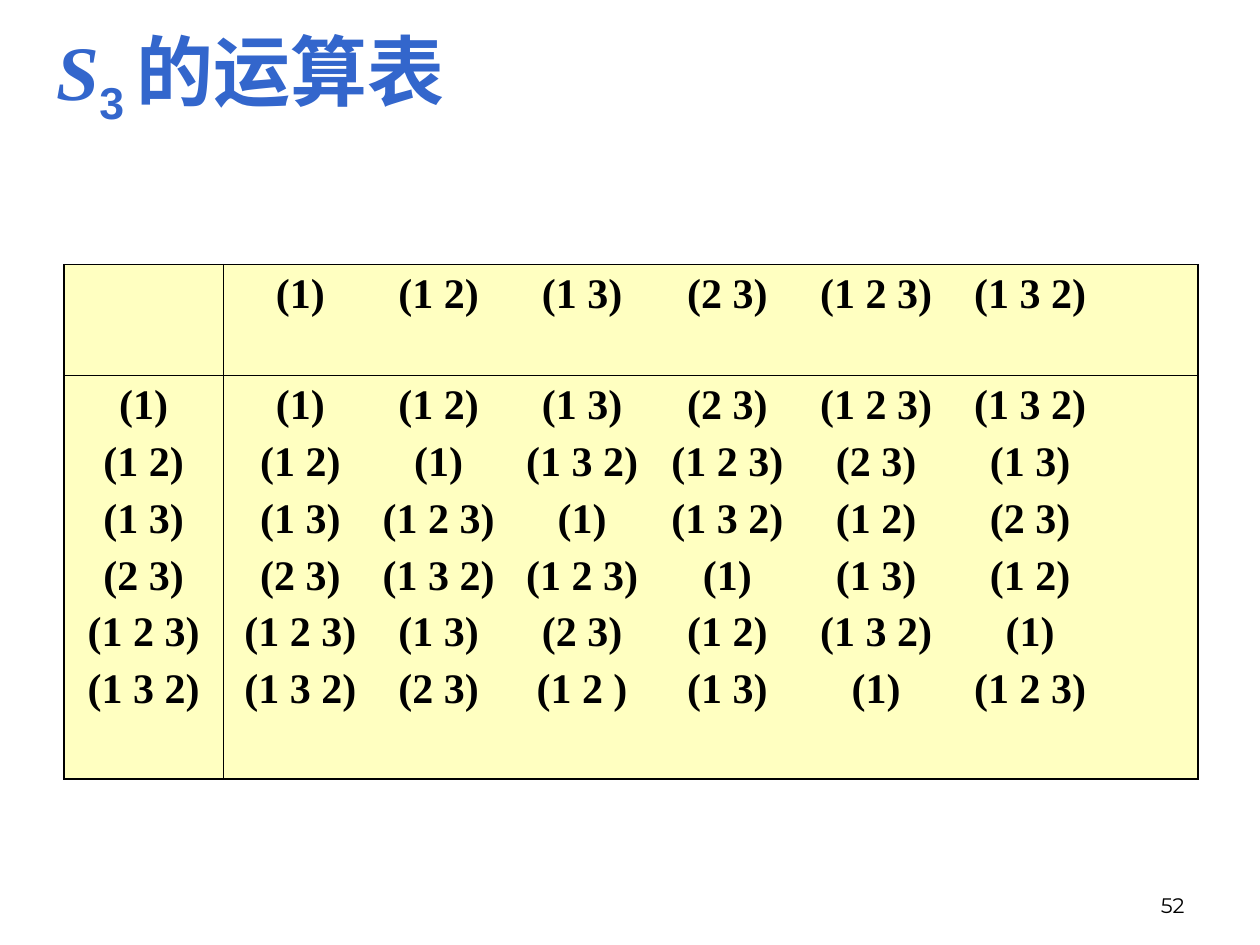
import pptx
import pptx.dml.color
import pptx.enum.text
import pptx.oxml
import pptx.oxml.ns
import pptx.util

Pt = pptx.util.Pt
ALIGN = pptx.enum.text.PP_ALIGN
ANCHOR = pptx.enum.text.MSO_ANCHOR

HUES = {"title": "3366CC", "text": "000000", "fill": "FFFFC1", "line": "000000"}
STOPS = (37, 116, 198, 281, 366, 454)
OUTER, INNER = 1.08, 0.45
CELL = {"name": "Times New Roman", "size": Pt(24), "bold": True}
TITLE = {"name": "Arial", "size": Pt(44), "bold": True}
PAGE = {"name": "Montserrat", "size": Pt(12)}

HEADS = ["(1)", "(1 2)", "(1 3)", "(2 3)", "(1 2 3)", "(1 3 2)"]
BODY = [
    HEADS,
    ["(1 2)", "(1)", "(1 3 2)", "(1 2 3)", "(2 3)", "(1 3)"],
    ["(1 3)", "(1 2 3)", "(1)", "(1 3 2)", "(1 2)", "(2 3)"],
    ["(2 3)", "(1 3 2)", "(1 2 3)", "(1)", "(1 3)", "(1 2)"],
    ["(1 2 3)", "(1 3)", "(2 3)", "(1 2)", "(1 3 2)", "(1)"],
    ["(1 3 2)", "(2 3)", "(1 2 )", "(1 3)", "(1)", "(1 2 3)"],
]


def add_run(para, text, style, hue):
    run = para.add_run()
    run.text = text
    for key, value in style.items():
        setattr(run.font, key, value)
    run.font.color.rgb = pptx.dml.color.RGBColor.from_string(HUES[hue])
    return run


def add_box(slide, place, anchor):
    """Add a text box and return its first paragraph."""
    frame = slide.shapes.add_textbox(*map(Pt, place)).text_frame
    frame.word_wrap = True
    frame.vertical_anchor = anchor
    return frame.paragraphs[0]


def set_tabs(para):
    """Give the paragraph one centred tab stop for each column."""
    stops = "".join(f'<a:tab pos="{Pt(x)}" algn="ctr"/>' for x in STOPS)
    tabs = f'<a:tabLst {pptx.oxml.ns.nsdecls("a")}>{stops}</a:tabLst>'
    para._p.get_or_add_pPr().append(pptx.oxml.parse_xml(tabs))


def set_edge(cell, side, width):
    cell._tc.get_or_add_tcPr().append(pptx.oxml.parse_xml(
        f'<a:ln{side} {pptx.oxml.ns.nsdecls("a")} w="{Pt(width)}"><a:solidFill>'
        f'<a:srgbClr val="{HUES["line"]}"/></a:solidFill></a:ln{side}>'))


def fill_cell(cell, lines, tabbed):
    frame = cell.text_frame
    for i, line in enumerate(lines):
        para = frame.add_paragraph() if i else frame.paragraphs[0]
        if tabbed:
            set_tabs(para)
        para.alignment = ALIGN.LEFT if tabbed else ALIGN.CENTER
        para.space_before = Pt(6 if i else 0)
        add_run(para, line, CELL, "text")


def add_grid(slide):
    shape = slide.shapes.add_table(2, 2, Pt(36.72), Pt(151.2), Pt(648), Pt(293.76))
    table = shape.table
    table.first_row = table.horz_banding = False
    for col, width in zip(table.columns, (90.72, 557.28)):
        col.width = Pt(width)
    for row, height in zip(table.rows, (63.36, 230.4)):
        row.height = Pt(height)

    tabbed = ["".join("\t" + item for item in row) for row in BODY]
    parts = [[[], tabbed[:1]], [HEADS, tabbed]]
    for r in range(2):
        for c in range(2):
            cell = table.cell(r, c)
            for side, outer in zip("LRTB", (c == 0, c == 1, r == 0, r == 1)):
                set_edge(cell, side, OUTER if outer else INNER)
            cell.fill.solid()
            cell.fill.fore_color.rgb = pptx.dml.color.RGBColor.from_string(HUES["fill"])
            fill_cell(cell, parts[r][c], c == 1)


def add_title(slide):
    para = add_box(slide, (25.2, 0, 630, 86.4), ANCHOR.MIDDLE)
    add_run(para, "S", TITLE | {"name": "Times New Roman", "italic": True}, "title")
    sub = add_run(para, "3 ", TITLE, "title")
    sub.font._element.set("baseline", "-25000")
    add_run(para, "的运算表", TITLE, "title")


def add_page(slide):
    para = add_box(slide, (516.24, 491.76, 167.76, 36), ANCHOR.BOTTOM)
    para.alignment = ALIGN.RIGHT
    add_run(para, "52", PAGE, "text")


def main():
    deck = pptx.Presentation()
    deck.slide_width, deck.slide_height = Pt(720), Pt(540)
    slide = deck.slides.add_slide(deck.slide_layouts[6])
    add_page(slide)
    add_title(slide)
    add_grid(slide)
    deck.save("out.pptx")


if __name__ == "__main__":
    main()
